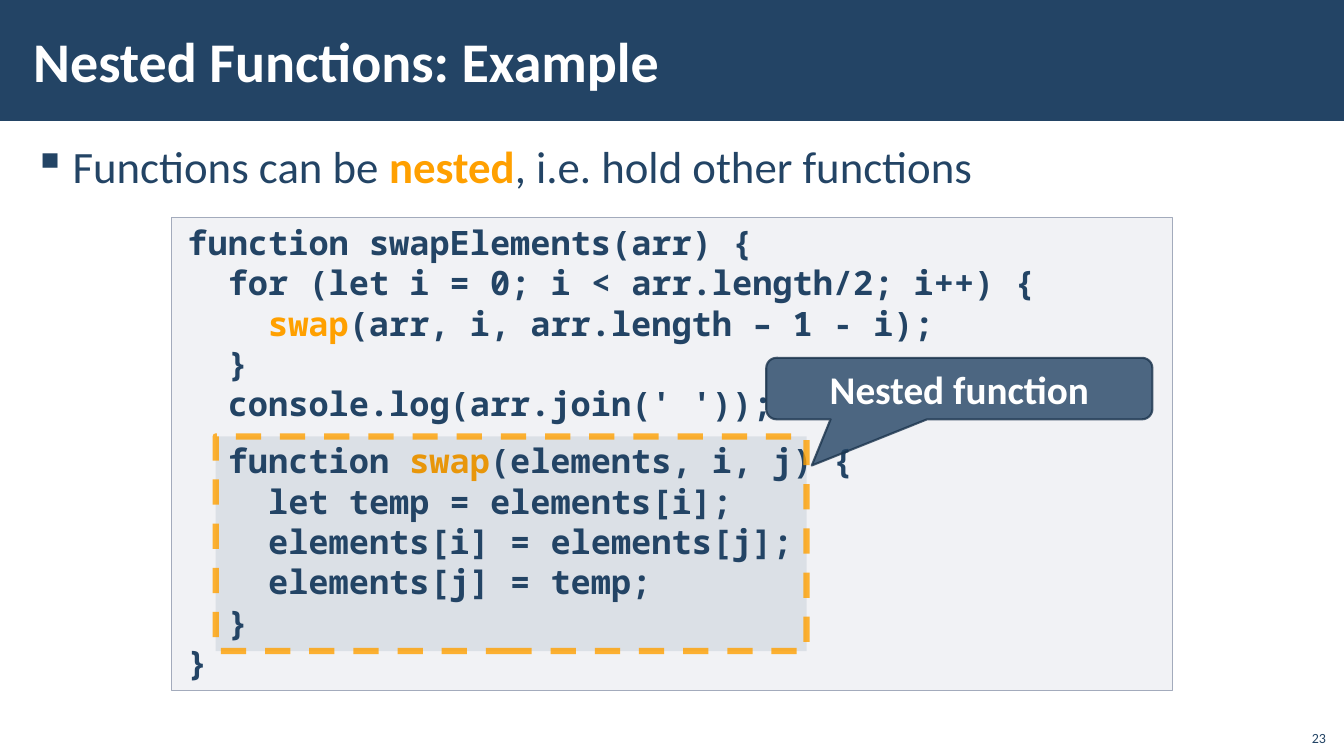
from dataclasses import dataclass

from pptx import Presentation
from pptx.dml.color import RGBColor as Rgb
from pptx.enum.dml import MSO_LINE as Dash
from pptx.enum.shapes import MSO_SHAPE as Kind
from pptx.enum.text import MSO_ANCHOR as Anchor, PP_ALIGN as Align
from pptx.oxml.ns import qn
from pptx.oxml.xmlchemy import OxmlElement as Node
from pptx.shapes.autoshape import Shape
from pptx.slide import Slide
from pptx.util import Inches, Pt


@dataclass(frozen=True)
class Theme:
    navy: str = "234465"
    hot: str = "FFA000"
    white: str = "FFFFFF"
    gray: str = "A3ABBC"
    edge: str = "1A334C"
    sans: str = "Calibri"
    mono: str = "Noto Sans Mono"
    title: int = 40
    body: int = 32
    label: int = 28
    code: int = 24
    page: int = 10


T = Theme()


@dataclass(frozen=True)
class Area:
    x: float
    y: float
    w: float
    h: float

    def emu(self) -> list[int]:
        return [Inches(v) for v in (self.x, self.y, self.w, self.h)]


@dataclass(frozen=True)
class Box:
    """A filled shape; alpha values are percentages."""
    area: Area
    fill: str
    alpha: int = 100
    line: str = ""
    width: float = 0
    fade: int = 100
    dash: bool = False
    kind: Kind = Kind.RECTANGLE
    adjust: tuple[float, ...] = ()


@dataclass(frozen=True)
class Line:
    """A paragraph; words between asterisks are highlighted."""
    text: str
    size: int
    color: str = T.navy
    font: str = T.sans
    bold: bool = False
    align: Align = Align.LEFT
    before: int = 0
    after: int = 0
    space: float = 1.0
    indent: float = 0
    bullet: str = ""


def set_alpha(shape: Shape, query: str, value: int) -> None:
    if value < 100:
        for color in shape.element.spPr.xpath(query):
            node = Node("a:alpha")
            node.set("val", str(value * 1000))
            color.append(node)


def add_box(slide: Slide, box: Box) -> Shape:
    shape = slide.shapes.add_shape(box.kind, *box.area.emu())
    shape.shadow.inherit = False
    for i, value in enumerate(box.adjust):
        shape.adjustments[i] = value
    shape.fill.solid()
    shape.fill.fore_color.rgb = Rgb.from_string(box.fill)
    set_alpha(shape, "a:solidFill/a:srgbClr", box.alpha)
    if box.line:
        shape.line.color.rgb = Rgb.from_string(box.line)
        shape.line.width = Pt(box.width)
        shape.line.dash_style = Dash.DASH if box.dash else Dash.SOLID
        set_alpha(shape, "a:ln/a:solidFill/a:srgbClr", box.fade)
    else:
        shape.line.fill.background()
    return shape


def write(shape: Shape, lines: list[Line], anchor: Anchor = Anchor.TOP,
          side: float = 0.12, edge: float = 0.04) -> None:
    frame = shape.text_frame
    frame.word_wrap = True
    frame.vertical_anchor = anchor
    frame.margin_left = frame.margin_right = Inches(side)
    frame.margin_top = frame.margin_bottom = Inches(edge)
    for n, line in enumerate(lines):
        para = frame.add_paragraph() if n else frame.paragraphs[0]
        para.alignment = line.align
        para.line_spacing = line.space
        para.space_before, para.space_after = Pt(line.before), Pt(line.after)
        props = para._p.get_or_add_pPr()
        props.set("marL", str(Inches(line.indent)))
        props.set("indent", str(Inches(-line.indent if line.bullet else 0)))
        if line.bullet:
            mark = Node("a:buChar")
            mark.set("char", line.bullet)
            props.append(mark)
        font = para.font
        font.name, font.size, font.bold = line.font, Pt(line.size), line.bold
        font.color.rgb = Rgb.from_string(line.color)
        for i, part in enumerate(line.text.split("*")):
            if part:
                run = para.add_run()
                run.text = part
                if i % 2:
                    run.font.bold = True
                    run.font.color.rgb = Rgb.from_string(T.hot)


def add_text(slide: Slide, area: Area, line: Line,
             anchor: Anchor = Anchor.TOP, side: float = 0.12) -> None:
    write(slide.shapes.add_textbox(*area.emu()), [line], anchor, side)


# Code lines: indent level and text
CODE = [
    (0, "function swapElements(arr) {"),
    (1, "for (let i = 0; i < arr.length/2; i++) {"),
    (2, "*swap*(arr, i, arr.length – 1 - i);"),
    (1, "}"),
    (1, "console.log(arr.join(' '));"),
    (1, "function *swap*(elements, i, j) {"),
    (2, "let temp = elements[i];"),
    (2, "elements[i] = elements[j];"),
    (2, "elements[j] = temp;"),
    (1, "}"),
    (0, "}"),
]
TAB = 0.4
INNER = 5  # first line of the nested function


def main() -> None:
    deck = Presentation()
    deck.slide_width, deck.slide_height = Inches(13.33), Inches(7.5)
    slide = deck.slides.add_slide(deck.slide_layouts[6])

    # Title band and bullet
    add_box(slide, Box(Area(0, 0, 13.33, 1.2), T.navy))
    add_text(slide, Area(0.21, 1.31, 12.92, 0.8),
             Line("Functions can be *nested*, i.e. hold other functions", T.body,
                  before=6, after=6, space=1.05, indent=0.39, bullet="▪"))
    add_text(slide, Area(0.21, 0.11, 10.63, 0.97),
             Line("Nested Functions: Example", T.title, T.white, bold=True),
             Anchor.MIDDLE)

    # Code panel
    panel = add_box(slide, Box(Area(1.7, 2.16, 9.93, 4.69), T.gray, 15, T.gray, 1))
    write(panel, [Line(text, T.code, font=T.mono, bold=True, indent=level * TAB,
                       before=12 if n == INNER else 0)
                  for n, (level, text) in enumerate(CODE)], side=0.16)

    # Page number
    add_text(slide, Area(12.85, 7.12, 0.4, 0.32),
             Line("23", T.page, align=Align.RIGHT), Anchor.BOTTOM, 0.1)

    # Callout and frame around the nested function
    note = add_box(slide, Box(Area(7.6, 3.55, 3.83, 0.61), T.navy, 80, T.edge, 1.5, 80,
                              kind=Kind.ROUNDED_RECTANGULAR_CALLOUT,
                              adjust=(-0.382, 1.252, 0.167)))
    write(note, [Line("Nested function", T.label, T.white, bold=True,
                      align=Align.CENTER)], Anchor.MIDDLE)
    add_box(slide, Box(Area(2.14, 4.33, 5.86, 2.13), T.navy, 10, T.hot, 4.5, 80, True))

    deck.save("out.pptx")


if __name__ == "__main__":
    main()
